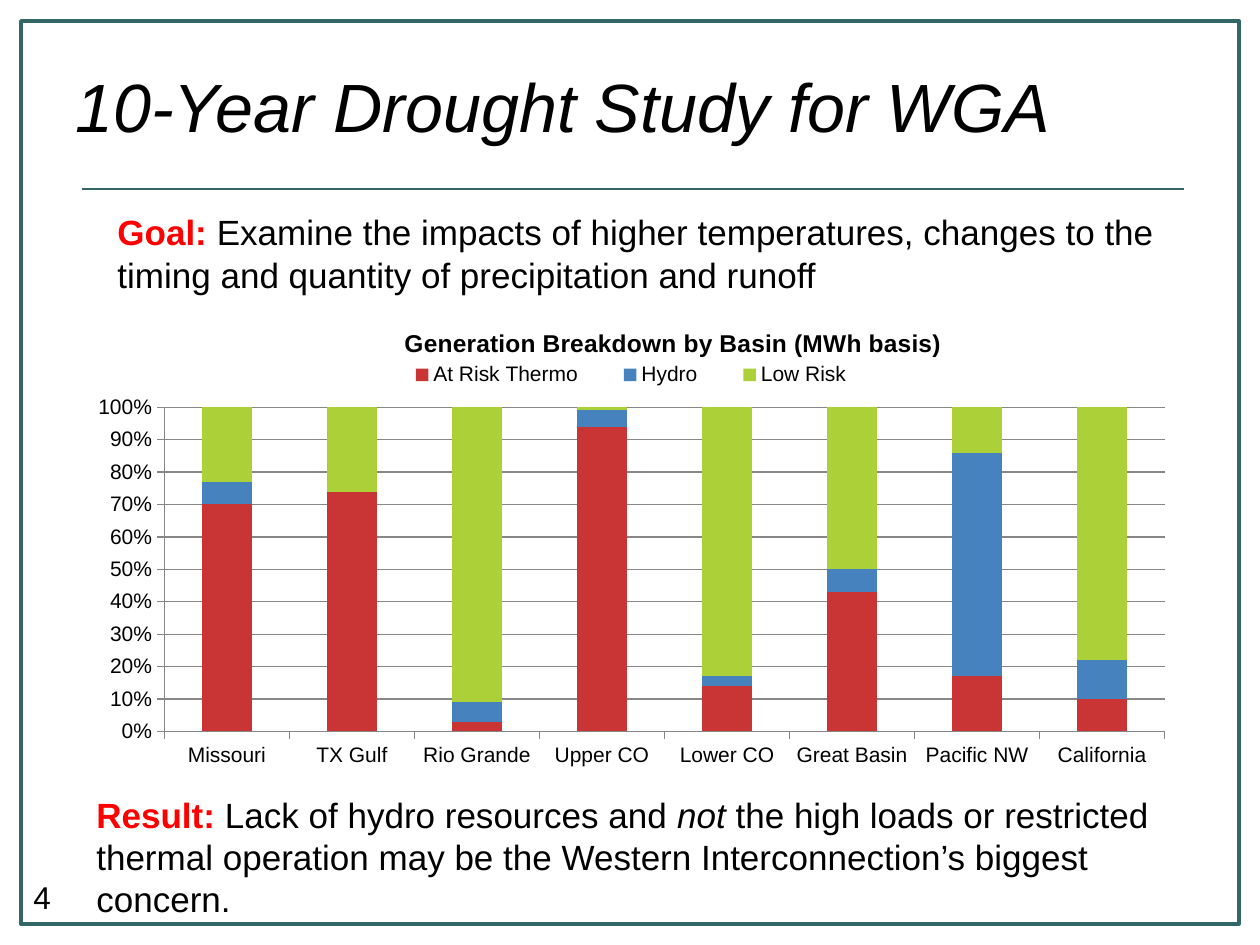
"""Build the drought study slide with its stacked generation chart."""
from dataclasses import dataclass

from lxml import etree
from pptx import Presentation
from pptx.chart.data import CategoryChartData
from pptx.dml.color import RGBColor
from pptx.enum.chart import XL_CHART_TYPE, XL_LEGEND_POSITION, XL_TICK_MARK
from pptx.enum.shapes import MSO_CONNECTOR, MSO_SHAPE
from pptx.enum.text import MSO_ANCHOR, MSO_AUTO_SIZE
from pptx.oxml.ns import qn
from pptx.util import Inches, Pt

STACKED = XL_CHART_TYPE.COLUMN_STACKED_100
LEGEND_BOTTOM = XL_LEGEND_POSITION.BOTTOM
TICK_OUT = XL_TICK_MARK.OUTSIDE
STRAIGHT = MSO_CONNECTOR.STRAIGHT
RECTANGLE = MSO_SHAPE.RECTANGLE
TOP, MIDDLE = MSO_ANCHOR.TOP, MSO_ANCHOR.MIDDLE
FIT_SHAPE, NO_FIT = MSO_AUTO_SIZE.SHAPE_TO_FIT_TEXT, MSO_AUTO_SIZE.NONE
COLUMNS, ROWS = 120, 90
WIDTH, HEIGHT = Inches(10), Inches(7.5)


@dataclass(frozen=True)
class Theme:
    """Colours, font and type sizes of the slide."""
    font: str = "Arial"
    ink: str = "000000"
    accent: str = "FF0000"
    frame: str = "336666"
    grid: str = "878787"
    title: float = 39
    body: float = 20
    number: float = 18
    chart_title: float = 14
    chart: float = 12


@dataclass(frozen=True)
class Area:
    """A rectangle in grid columns and rows."""
    column: float
    row: float
    columns: float
    rows: float

    def lengths(self) -> tuple[int, int, int, int]:
        """Return left, top, width and height in slide units."""
        return (across(self.column), down(self.row),
                across(self.columns), down(self.rows))


@dataclass(frozen=True)
class Span:
    """A stretch of text with one format."""
    text: str
    bold: bool = False
    italic: bool = False
    color: str = "000000"


@dataclass(frozen=True)
class Series:
    """A named chart series with its colour."""
    name: str
    values: tuple[int, ...]
    color: str


THEME = Theme()
BASINS = ("Missouri", "TX Gulf", "Rio Grande", "Upper CO",
          "Lower CO", "Great Basin", "Pacific NW", "California")
GENERATION = (
    Series("At Risk Thermo", (70, 73, 3, 93, 14, 43, 17, 10), "C93534"),
    Series("Hydro", (7, 0, 6, 5, 3, 7, 68, 12), "4683BE"),
    Series("Low Risk", (23, 26, 91, 1, 83, 50, 14, 78), "ABD038"),
)


def across(columns: float) -> int:
    """Convert grid columns to a length."""
    return round(WIDTH * columns / COLUMNS)


def down(rows: float) -> int:
    """Convert grid rows to a length."""
    return round(HEIGHT * rows / ROWS)


def style_font(font, size: float, color: str = THEME.ink,
               bold: bool = False, italic: bool = False) -> None:
    """Apply the theme font with the given format."""
    font.name, font.size = THEME.font, Pt(size)
    font.bold, font.italic = bold, italic
    font.color.rgb = RGBColor.from_string(color)


def style_line(line, color: str, width: float) -> None:
    """Set the colour and width of a line."""
    line.color.rgb = RGBColor.from_string(color)
    line.width = Pt(width)


def add_text(page, area: Area, *spans: Span, size: float,
             anchor=TOP, fit=FIT_SHAPE) -> None:
    """Add a one-paragraph text box."""
    frame = page.shapes.add_textbox(*area.lengths()).text_frame
    frame.word_wrap = True
    frame.auto_size = fit
    frame.vertical_anchor = anchor
    para = frame.paragraphs[0]
    for span in spans:
        run = para.add_run()
        run.text = span.text
        style_font(run.font, size, span.color, span.bold, span.italic)


def add_frame(page, area: Area) -> None:
    """Add the unfilled border of the slide."""
    shape = page.shapes.add_shape(RECTANGLE, *area.lengths())
    shape.shadow.inherit = False
    shape.fill.background()
    style_line(shape.line, THEME.frame, 2)


def add_rule(page, start: float, end: float, row: float) -> None:
    """Add a horizontal rule between two columns."""
    rule = page.shapes.add_connector(
        STRAIGHT, across(start), down(row), across(end), down(row))
    style_line(rule.line, THEME.frame, 1.5)
    etree.SubElement(rule._element.spPr, qn("a:effectLst"))


def place(element, index: int, inner: bool = False, **shares: float) -> None:
    """Give a chart part a manual layout in shares of the chart."""
    for old in element.findall(qn("c:layout")):
        element.remove(old)
    layout = etree.Element(qn("c:layout"))
    element.insert(index, layout)
    manual = etree.SubElement(layout, qn("c:manualLayout"))
    settings = {"layoutTarget": "inner"} if inner else {}
    settings |= {"xMode": "edge", "yMode": "edge"}
    settings |= {name: str(share) for name, share in shares.items()}
    for name, value in settings.items():
        etree.SubElement(manual, qn(f"c:{name}")).set("val", value)


def add_generation_chart(page, area: Area, title: str) -> None:
    """Add the stacked column chart of generation by basin."""
    data = CategoryChartData()
    data.categories = BASINS
    for series in GENERATION:
        data.add_series(series.name, series.values)
    chart = page.shapes.add_chart(STACKED, *area.lengths(), data).chart
    style_font(chart.font, THEME.chart)

    chart.has_title = True
    heading = chart.chart_title
    heading.text_frame.text = title
    span = heading.text_frame.paragraphs[0].runs[0]
    style_font(span.font, THEME.chart_title, bold=True)
    heading._element.find(qn("c:overlay")).set("val", "1")
    place(heading._element, 1, x=0.31, y=0.02)

    chart.has_legend = True
    chart.legend.position = LEGEND_BOTTOM
    chart.legend.include_in_layout = False
    place(chart.legend._element, 1, x=0.29, y=0.1, w=0.44, h=0.07)

    for axis in (chart.category_axis, chart.value_axis):
        axis.major_tick_mark = TICK_OUT
        style_line(axis.format.line, THEME.grid, 0.75)
    values = chart.value_axis
    values.minimum_scale, values.maximum_scale, values.major_unit = 0, 1, 0.1
    values.tick_labels.number_format = "0%"
    values.tick_labels.number_format_is_linked = False
    style_line(values.major_gridlines.format.line, THEME.grid, 0.75)

    plot = chart.plots[0]
    plot.gap_width, plot.overlap = 150, 100
    plot.vary_by_categories = False
    place(plot._element.getparent(), 0, inner=True,
          x=0.106, y=0.207, w=0.866, h=0.719)
    for drawn, series in zip(plot.series, GENERATION):
        drawn.format.fill.solid()
        drawn.format.fill.fore_color.rgb = RGBColor.from_string(series.color)


def main() -> None:
    """Build and save the deck."""
    deck = Presentation()
    deck.slide_width, deck.slide_height = WIDTH, HEIGHT
    page = deck.slides.add_slide(deck.slide_layouts[6])
    add_text(page, Area(2, 83, 7, 5), Span("4"), size=THEME.number)
    add_frame(page, Area(2, 2, 116, 86))
    add_rule(page, 7.8, 112.8, 18)
    add_text(page, Area(8, 75, 107, 13.3),
             Span("Result: ", bold=True, color=THEME.accent),
             Span("Lack of hydro resources and "),
             Span("not", italic=True),
             Span(" the high loads or restricted thermal operation may be "
                  "the Western Interconnection’s biggest concern."),
             size=THEME.body)
    add_generation_chart(page, Area(4, 29.9, 110, 43.1),
                         "Generation Breakdown by Basin (MWh basis)")
    add_text(page, Area(6, 2, 108, 16),
             Span("10-Year Drought Study for WGA", italic=True),
             size=THEME.title, anchor=MIDDLE, fit=NO_FIT)
    add_text(page, Area(10, 19.5, 104, 9.3),
             Span("Goal: ", bold=True, color=THEME.accent),
             Span("Examine the impacts of higher temperatures, changes to the "
                  "timing and quantity of precipitation and runoff"),
             size=THEME.body)
    deck.save("out.pptx")


if __name__ == "__main__":
    main()
